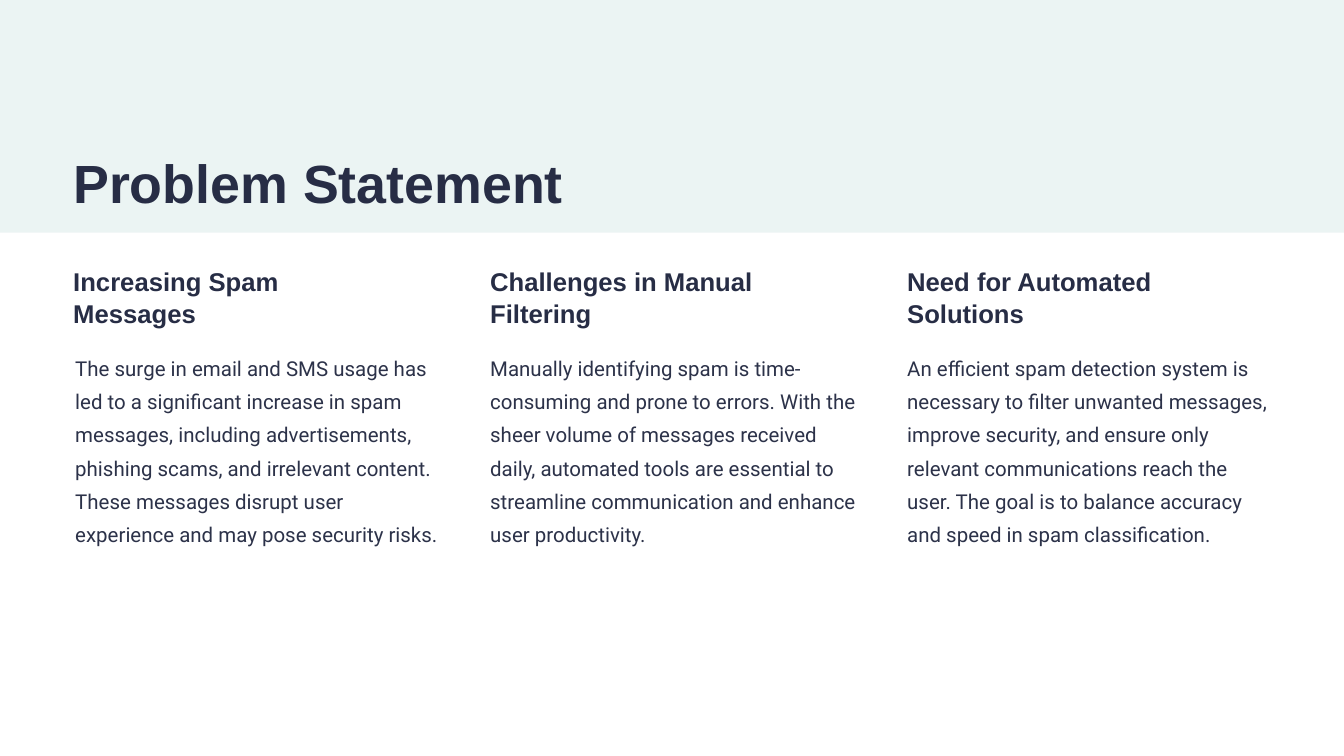
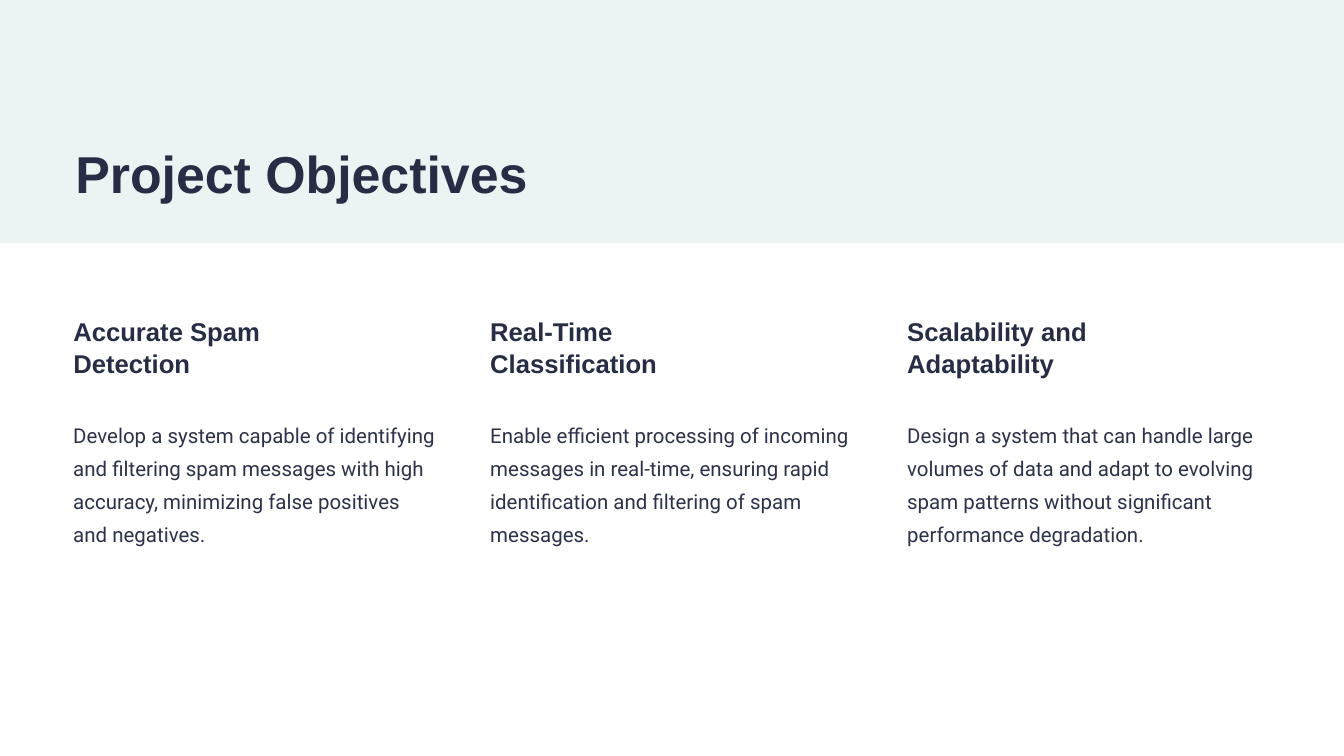
import pptx
import pptx.util
import pptx.dml.color
import pptx.enum.shapes
import pptx.enum.text

COLORS = {"band": "EBF4F3", "page": "FFFFFF", "heading": "272D45", "body": "2C3249"}
WIDTH, HEIGHT = 20, 11.25

# Three-column grid, in inches
MARGIN = 1.09
COLUMN_STEP = 6.205
COLUMN_WIDTH = 5.44

# Text styles: font, size, line spacing, bold, colour
HEADING = ("Arial", 27.5, 34.4, True, "heading")
BODY = ("Roboto", 21.9, 35.6, False, "body")

# Each column: heading, heading width, body, body height, body shift
SLIDES = [
    {
        "title": "Problem Statement", "title_at": (MARGIN, 2.19),
        "title_style": ("Arial", 57.6, 71.9, True, "heading"),
        "band_height": 3.46, "heading_top": 3.94, "body_top": 5.17,
        "columns": [
            ("Increasing Spam Messages", 4.76,
             "The surge in email and SMS usage has led to a significant increase in spam "
             "messages, including advertisements, phishing scams, and irrelevant content. "
             "These messages disrupt user experience and may pose security risks.", 3.57, 0.03),
            ("Challenges in Manual Filtering", COLUMN_WIDTH,
             "Manually identifying spam is time-consuming and prone to errors. With the sheer "
             "volume of messages received daily, automated tools are essential to streamline "
             "communication and enhance user productivity.", 3.57, 0),
            ("Need for Automated Solutions", COLUMN_WIDTH,
             "An efficient spam detection system is necessary to filter unwanted messages, "
             "improve security, and ensure only relevant communications reach the user. The "
             "goal is to balance accuracy and speed in spam classification.", 3.57, 0),
        ],
    },
    {
        "title": "Project Objectives", "title_at": (1.12, 2.07),
        "title_style": ("Arial", 55.6, 69.4, True, "heading"),
        "band_height": 3.62, "heading_top": 4.68, "body_top": 6.16,
        "columns": [
            ("Accurate Spam Detection", 4.31,
             "Develop a system capable of identifying and filtering spam messages with high "
             "accuracy, minimizing false positives and negatives.", 2.57, 0),
            ("Real-Time Classification", 4.13,
             "Enable efficient processing of incoming messages in real-time, ensuring rapid "
             "identification and filtering of spam messages.", 2.08, 0),
            ("Scalability and Adaptability", 4.71,
             "Design a system that can handle large volumes of data and adapt to evolving "
             "spam patterns without significant performance degradation.", 2.57, 0),
        ],
    },
]


def rgb(name):
    return pptx.dml.color.RGBColor.from_string(COLORS[name])


def inches(*lengths):
    return [pptx.util.Inches(length) for length in lengths]


def add_panel(slide, top, color):
    """Fill the slide's full width from top down to the bottom edge."""
    panel = slide.shapes.add_shape(pptx.enum.shapes.MSO_SHAPE.RECTANGLE,
                                   *inches(0, top, WIDTH, HEIGHT - top))
    panel.shadow.inherit = False
    panel.fill.solid()
    panel.fill.fore_color.rgb = rgb(color)
    panel.line.fill.background()


def add_text(slide, text, left, top, width, height, style):
    font_name, size, spacing, bold, color = style
    frame = slide.shapes.add_textbox(*inches(left, top, width, height)).text_frame
    frame.margin_left = frame.margin_top = frame.margin_right = frame.margin_bottom = 0
    frame.word_wrap = True
    frame.auto_size = pptx.enum.text.MSO_AUTO_SIZE.SHAPE_TO_FIT_TEXT
    frame.text = text
    paragraph = frame.paragraphs[0]
    paragraph.line_spacing = pptx.util.Pt(spacing)
    font = paragraph.runs[0].font
    font.name = font_name
    font.size = pptx.util.Pt(size)
    font.bold = bold
    font.color.rgb = rgb(color)


def add_column(slide, index, column, heading_top, body_top):
    heading, heading_width, body, body_height, body_shift = column
    left = MARGIN + index * COLUMN_STEP
    add_text(slide, heading, left, heading_top, heading_width, 0.96, HEADING)
    add_text(slide, body, left + body_shift, body_top, COLUMN_WIDTH, body_height, BODY)


def add_column_slide(deck, content):
    slide = deck.slides.add_slide(deck.slide_layouts[6])
    # Tinted band with the white page below it
    add_panel(slide, 0, "band")
    add_panel(slide, content["band_height"], "page")
    # Title and columns
    add_text(slide, content["title"], *content["title_at"], 7.75, 1, content["title_style"])
    for index, column in enumerate(content["columns"]):
        add_column(slide, index, column, content["heading_top"], content["body_top"])


def main():
    deck = pptx.Presentation()
    deck.slide_width, deck.slide_height = inches(WIDTH, HEIGHT)
    for content in SLIDES:
        add_column_slide(deck, content)
    deck.save("out.pptx")


if __name__ == "__main__":
    main()
